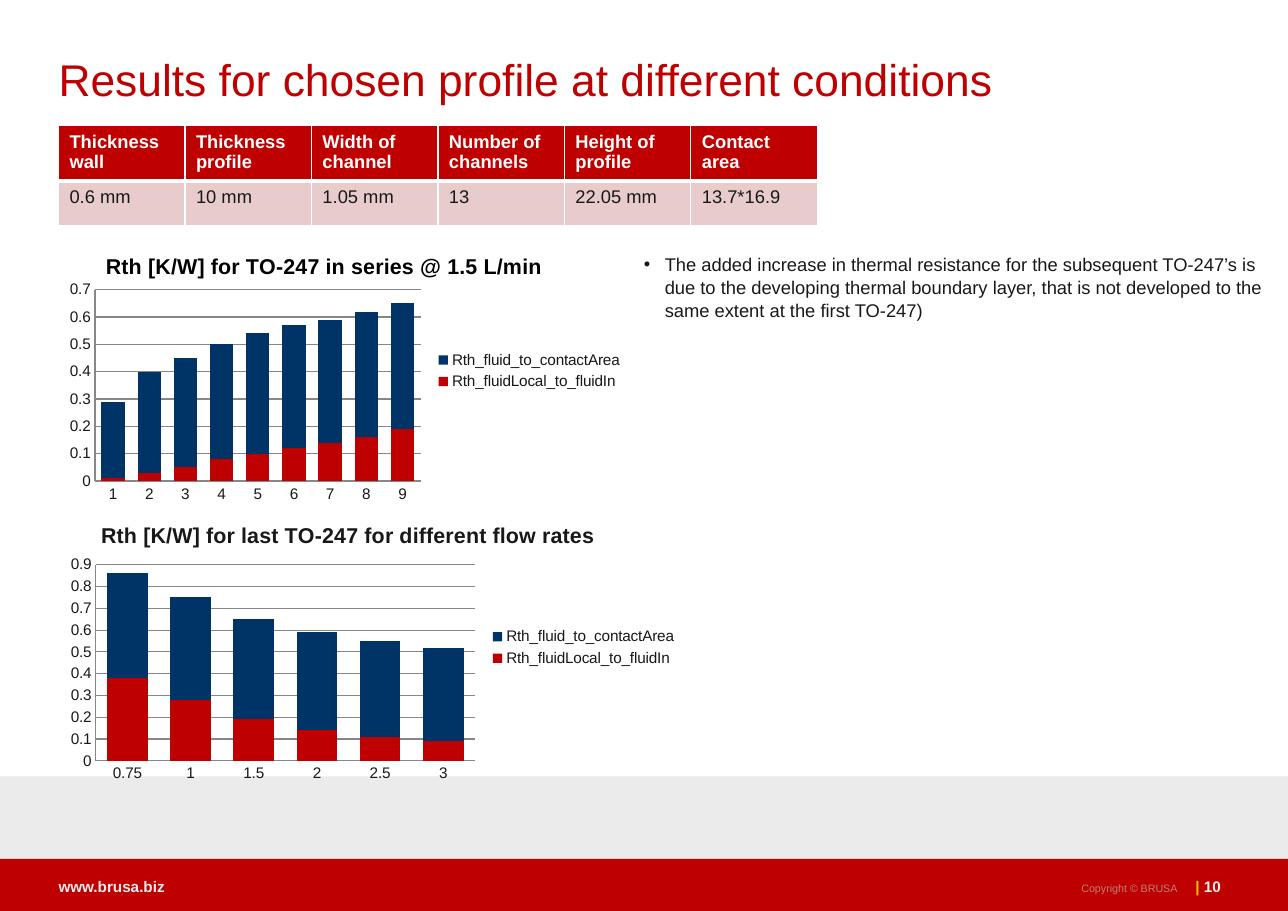
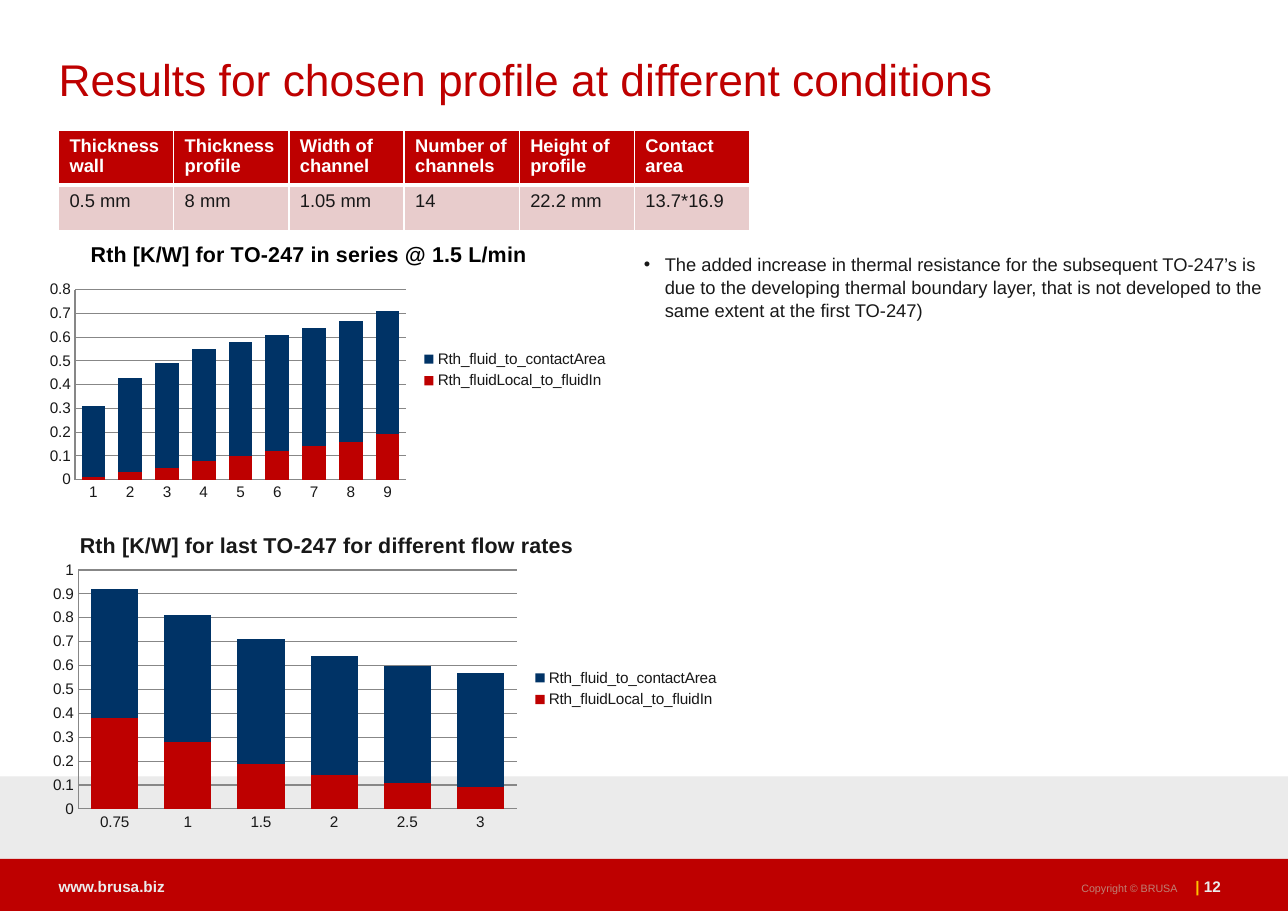
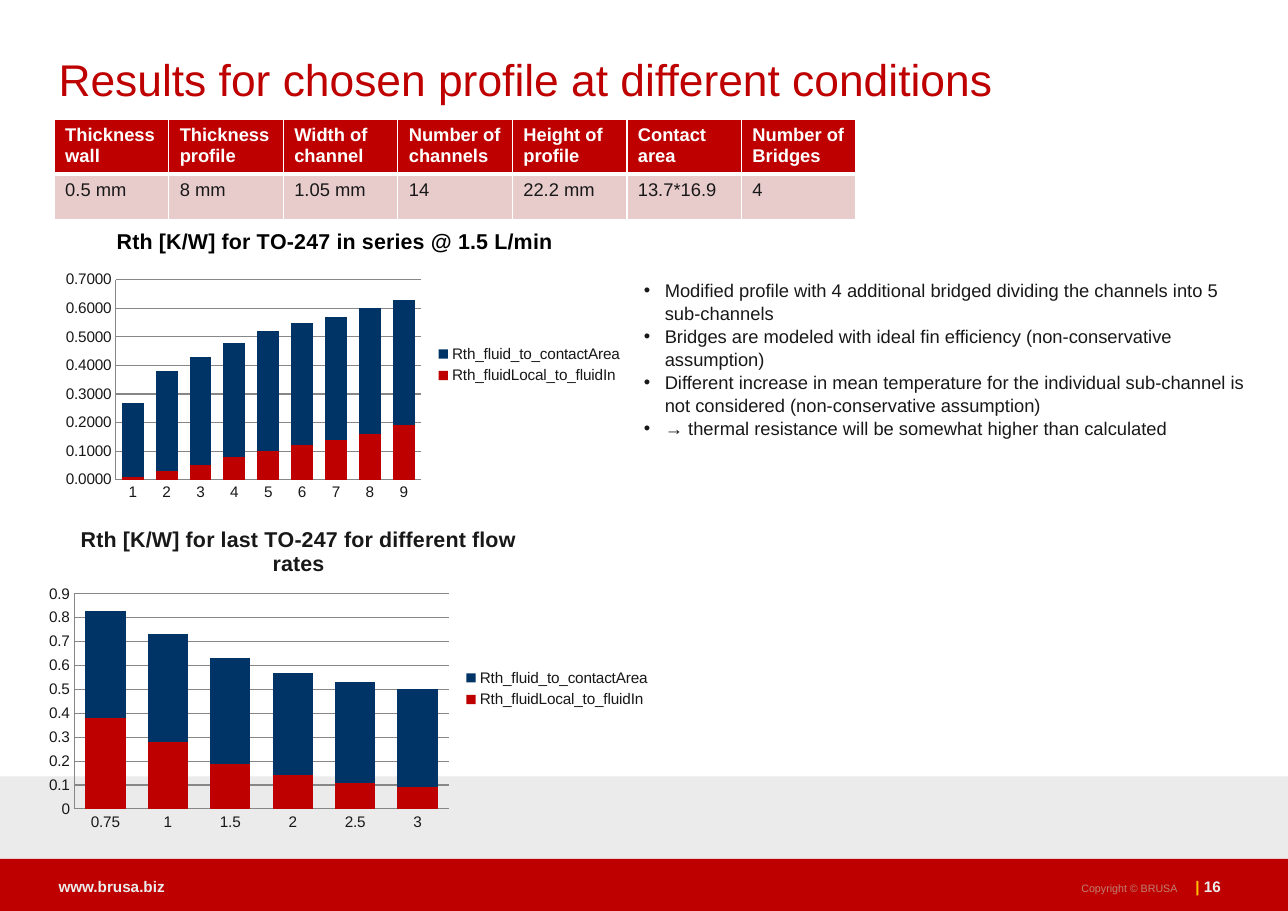
from lxml import etree
from pptx import Presentation
from pptx.chart.data import CategoryChartData
from pptx.dml.color import RGBColor
from pptx.enum.chart import XL_CHART_TYPE as ChartType, XL_LEGEND_POSITION as LegendPos
from pptx.enum.chart import XL_TICK_MARK as Tick
from pptx.enum.shapes import MSO_SHAPE as Shape
from pptx.enum.text import MSO_ANCHOR as Anchor, PP_ALIGN as Align
from pptx.oxml.ns import qn
from pptx.util import Cm, Pt

RED, GREY, INK, NAVY = "BE0000", "EBEBEB", "181818", "003366"
WHITE, BLACK, PINK, AMBER, ROSE, LINE = "FFFFFF", "000000", "E8CCCC", "FFC000", "BE8074", "878787"
FONT = "Arial"
SLIDE_W, SLIDE_H, MARGIN = 29.7, 21, 1.35

TITLE = "Results for chosen profile at different conditions"
HEADERS = ["Thickness wall", "Thickness profile", "Width of channel",
           "Number of channels", "Height of profile", "Contact area"]
BOUNDARY_LAYER = ["The added increase in thermal resistance for the subsequent TO-247’s is due to "
                  "the developing thermal boundary layer, that is not developed to the same "
                  "extent at the first TO-247)"]
BRIDGES = [
    "Modified profile with 4 additional bridged dividing the channels into 5 sub-channels",
    "Bridges are modeled with ideal fin efficiency (non-conservative assumption)",
    "Different increase in mean temperature for the individual sub-channel is not considered "
    "(non-conservative assumption)",
    "→ thermal resistance will be somewhat higher than calculated",
]

# The two kinds of chart; the fluid heating is the same for every profile
SERIES = dict(title="Rth [K/W] for TO-247 in series @ 1.5 L/min", title_color=BLACK,
              cats=[str(n) for n in range(1, 10)],
              local=[0.01, 0.03, 0.05, 0.08, 0.1, 0.12, 0.14, 0.16, 0.19])
FLOW = dict(title="Rth [K/W] for last TO-247 for different flow rates", title_color=INK,
            cats=["0.75", "1", "1.5", "2", "2.5", "3"],
            local=[0.38, 0.28, 0.19, 0.14, 0.11, 0.09])

# box: left, top, width, height; plot: left, top, right, bottom; head, key: left, top (cm)
PAGES = [
    dict(number=10, notes=BOUNDARY_LAYER, notes_box=(14.6, 5.69, 15, 1.8),
         headers=HEADERS, values=["0.6 mm", "10 mm", "1.05 mm", "13", "22.05 mm", "13.7*16.9"],
         table_box=(MARGIN, 2.9, 17.5),
         charts=[
             dict(SERIES, contact=[0.28, 0.37, 0.4, 0.42, 0.44, 0.45, 0.45, 0.46, 0.46], top=0.7,
                  box=(MARGIN, 5.28, 13.23, 6.45), plot=(2.19, 6.68, 9.7, 11.09),
                  head=(2.35, 5.74), key=(10, 8)),
             dict(FLOW, contact=[0.48, 0.47, 0.46, 0.45, 0.44, 0.43], top=0.9,
                  box=(MARGIN, 11.63, 14.5, 6.53), plot=(2.21, 13.02, 10.95, 17.54),
                  head=(2.24, 11.94), key=(11.25, 14.38))]),
    dict(number=12, notes=BOUNDARY_LAYER, notes_box=(14.6, 5.69, 15, 1.8),
         headers=HEADERS, values=["0.5 mm", "8 mm", "1.05 mm", "14", "22.2 mm", "13.7*16.9"],
         table_box=(MARGIN, 3, 15.94),
         charts=[
             dict(SERIES, contact=[0.3, 0.4, 0.44, 0.47, 0.48, 0.49, 0.5, 0.51, 0.52], top=0.8,
                  box=(0.89, 5.28, 13.36, 6.4), plot=(1.73, 6.68, 9.36, 11.06),
                  head=(2, 5.46), key=(9.67, 7.98)),
             dict(FLOW, contact=[0.54, 0.53, 0.52, 0.5, 0.49, 0.48], top=1,
                  box=(0.89, 11.68, 15.95, 7.62), plot=(1.8, 13.14, 11.92, 18.65),
                  head=(1.75, 12.15), key=(12.23, 15.33))]),
    dict(number=16, notes=BRIDGES, notes_box=(14.6, 6.3, 14.55, 3.84),
         headers=HEADERS + ["Number of Bridges"],
         values=["0.5 mm", "8 mm", "1.05 mm", "14", "22.2 mm", "13.7*16.9", "4"],
         table_box=(1.25, 2.75, 18.49),
         charts=[
             dict(SERIES, contact=[0.26, 0.35, 0.38, 0.4, 0.42, 0.43, 0.43, 0.44, 0.44], top=0.7,
                  box=(1.24, 5.05, 13.34, 6.65), plot=(2.67, 6.45, 9.7, 11.06),
                  head=(2.6, 5.16), key=(10, 7.86), axis_format="0.0000"),
             dict(FLOW, contact=[0.45, 0.45, 0.44, 0.43, 0.42, 0.41], top=0.9,
                  box=(0.84, 11.71, 14.4, 7.59), plot=(1.71, 13.69, 10.35, 18.65),
                  head=(1.77, 12.03), key=(10.64, 15.33))]),
]


# Helpers
def rgb(value):
    return RGBColor.from_string(value)


def cm(values):
    return [Cm(v) for v in values]


def set_attrs(obj, formats):
    for name, value in formats.items():
        setattr(obj, name, value)


def set_font(font, size, color, bold=False):
    set_attrs(font, dict(name=FONT, size=Pt(size), bold=bold))
    font.color.rgb = rgb(color)


def set_insets(tf, left, top, right, bottom):
    names = ("margin_left", "margin_top", "margin_right", "margin_bottom")
    set_attrs(tf, dict(zip(names, cm((left, top, right, bottom)))))


# Text and bands
def add_band(s, top, height, color):
    sp = s.shapes.add_shape(Shape.RECTANGLE, *cm((0, top, SLIDE_W, height)))
    sp.shadow.inherit = False
    sp.fill.solid()
    sp.fill.fore_color.rgb = rgb(color)
    sp.line.fill.background()
    return sp


def add_footer(s, box, runs, size, align=Align.LEFT, bold=True):
    sp = s.shapes.add_textbox(*cm(box))
    tf = sp.text_frame
    tf.word_wrap = True
    set_insets(tf, 0, 0.13, 0, 0.13)
    p = tf.paragraphs[0]
    p.alignment = align
    for text, color in runs:
        r = p.add_run()
        r.text = text
        set_font(r.font, size, color, bold)
    return sp


def build_layout(layout, s):
    """Move the bands and fixed footers, drawn on s, to the layout."""
    for ph in list(layout.placeholders):
        if ph.placeholder_format.idx:
            ph.element.getparent().remove(ph.element)
    fixed = [
        add_band(s, 17.9, 3.1, GREY),
        add_band(s, 19.8, 1.2, RED),
        add_footer(s, (23.44, 20.19, 3.71, 0.56), [("Copyright © BRUSA", ROSE)], 7,
                   Align.RIGHT, bold=False),
        add_footer(s, (MARGIN, 20.09, 5.79, 0.79), [("www.brusa.biz", GREY)], 10),
    ]
    for sp in fixed:
        layout.shapes.element.append(sp.element)


def set_title(s, text):
    sp = s.shapes.title
    set_attrs(sp, dict(zip(("left", "top", "width", "height"), cm((MARGIN, 0.36, 22, 2.21)))))
    tf = sp.text_frame
    set_insets(tf, 0, 0.15, 0.28, 0.15)
    set_attrs(tf, dict(word_wrap=True, vertical_anchor=Anchor.BOTTOM, text=text))
    p = tf.paragraphs[0]
    p.alignment = Align.LEFT
    set_font(p.runs[0].font, 29, RED)


def add_bullets(s, box, texts):
    tf = s.shapes.add_textbox(*cm(box)).text_frame
    tf.word_wrap = True
    for i, text in enumerate(texts):
        p = tf.add_paragraph() if i else tf.paragraphs[0]
        pPr = p._p.get_or_add_pPr()
        pPr.set("marL", str(Cm(0.48)))
        pPr.set("indent", str(-Cm(0.48)))
        etree.SubElement(pPr, qn("a:buFont"), typeface=FONT)
        etree.SubElement(pPr, qn("a:buChar"), char="•")
        p.line_spacing = 1.04
        r = p.add_run()
        r.text = text
        set_font(r.font, 12, INK)


# Table
def set_borders(cell, widths):
    tcPr = cell._tc.get_or_add_tcPr()
    for i, (side, width) in enumerate(widths.items()):
        ln = etree.Element(qn("a:ln" + side), w=str(Pt(width)))
        fill = etree.SubElement(ln, qn("a:solidFill"))
        etree.SubElement(fill, qn("a:srgbClr"), val=WHITE)
        tcPr.insert(i, ln)


def add_profile_table(s, box, headers, values):
    left, top, width = box
    row_heights = cm((1.22, 1.04))
    table = s.shapes.add_table(2, len(headers), Cm(left), Cm(top), Cm(width),
                               sum(row_heights)).table
    for row, height in zip(table.rows, row_heights):
        row.height = height
    styles = [(headers, RED, WHITE, True, dict(L=1, R=1, T=1, B=3)),
              (values, PINK, INK, False, dict(L=1, R=1, B=1))]
    for i, (texts, fill, color, bold, borders) in enumerate(styles):
        for j, text in enumerate(texts):
            cell = table.cell(i, j)
            cell.text = text
            cell.fill.solid()
            cell.fill.fore_color.rgb = rgb(fill)
            set_borders(cell, borders)
            set_font(cell.text_frame.paragraphs[0].runs[0].font, 12, color, bold)


# Chart
def set_manual_layout(el, index, values):
    """Place a chart part; values maps layout tags to what they hold."""
    layout = el.find(qn("c:layout"))
    if layout is None:
        layout = etree.Element(qn("c:layout"))
        el.insert(index, layout)
    manual = etree.SubElement(layout, qn("c:manualLayout"))
    for tag, value in values.items():
        etree.SubElement(manual, qn("c:" + tag), val=str(value))


def place_chart_parts(chart, box, plot, head, key):
    left, top, width, height = box

    def corner(x, y):
        return dict(xMode="edge", yMode="edge",
                    x=round((x - left) / width, 4), y=round((y - top) / height, 4))

    x1, y1, x2, y2 = plot
    size = dict(w=round((x2 - x1) / width, 4), h=round((y2 - y1) / height, 4))
    plot_area = chart.element.find(".//" + qn("c:plotArea"))
    set_manual_layout(plot_area, 0, dict(layoutTarget="inner", **corner(x1, y1), **size))
    set_manual_layout(chart.element.find(".//" + qn("c:title")), 1, corner(*head))
    set_manual_layout(chart.element.find(".//" + qn("c:legend")), 1, corner(*key))


def add_rth_chart(s, title, title_color, cats, local, contact, top, box, plot, head, key,
                  axis_format="General"):
    data = CategoryChartData()
    data.categories = cats
    data.add_series("Rth_fluidLocal_to_fluidIn", local)
    data.add_series("Rth_fluid_to_contactArea", contact)
    chart = s.shapes.add_chart(ChartType.COLUMN_STACKED, *cm(box), data).chart
    set_font(chart.font, 10, INK)

    tf = chart.chart_title.text_frame
    tf.text = title
    set_font(tf.paragraphs[0].runs[0].font, 14, title_color, True)
    chart.has_legend = True
    set_attrs(chart.legend, dict(position=LegendPos.RIGHT, include_in_layout=False))

    bars = chart.plots[0]
    set_attrs(bars, dict(gap_width=55, overlap=100, vary_by_categories=False))
    for series, color in zip(bars.series, (RED, NAVY)):
        series.format.fill.solid()
        series.format.fill.fore_color.rgb = rgb(color)

    axis = chart.value_axis
    set_attrs(axis, dict(minimum_scale=0, maximum_scale=top, major_unit=0.1,
                         has_major_gridlines=True))
    set_attrs(axis.tick_labels, dict(number_format=axis_format, number_format_is_linked=False))
    for part in (axis, chart.category_axis):
        set_attrs(part, dict(major_tick_mark=Tick.NONE, minor_tick_mark=Tick.NONE))
    for part in (axis, chart.category_axis, axis.major_gridlines):
        part.format.line.color.rgb = rgb(LINE)
        part.format.line.width = Pt(0.75)
    place_chart_parts(chart, box, plot, head, key)


def main():
    prs = Presentation()
    set_attrs(prs, dict(slide_width=Cm(SLIDE_W), slide_height=Cm(SLIDE_H)))
    layout = prs.slide_layouts[5]
    for i, page in enumerate(PAGES):
        s = prs.slides.add_slide(layout)
        if i == 0:
            build_layout(layout, s)
        set_title(s, TITLE)
        add_footer(s, (23.55, 20.09, 4.6, 0.81),
                   [("| ", AMBER), (str(page["number"]), GREY)], 10, Align.RIGHT)
        add_profile_table(s, page["table_box"], page["headers"], page["values"])
        for chart in page["charts"]:
            add_rth_chart(s, **chart)
        add_bullets(s, page["notes_box"], page["notes"])
    prs.save("out.pptx")


if __name__ == "__main__":
    main()
